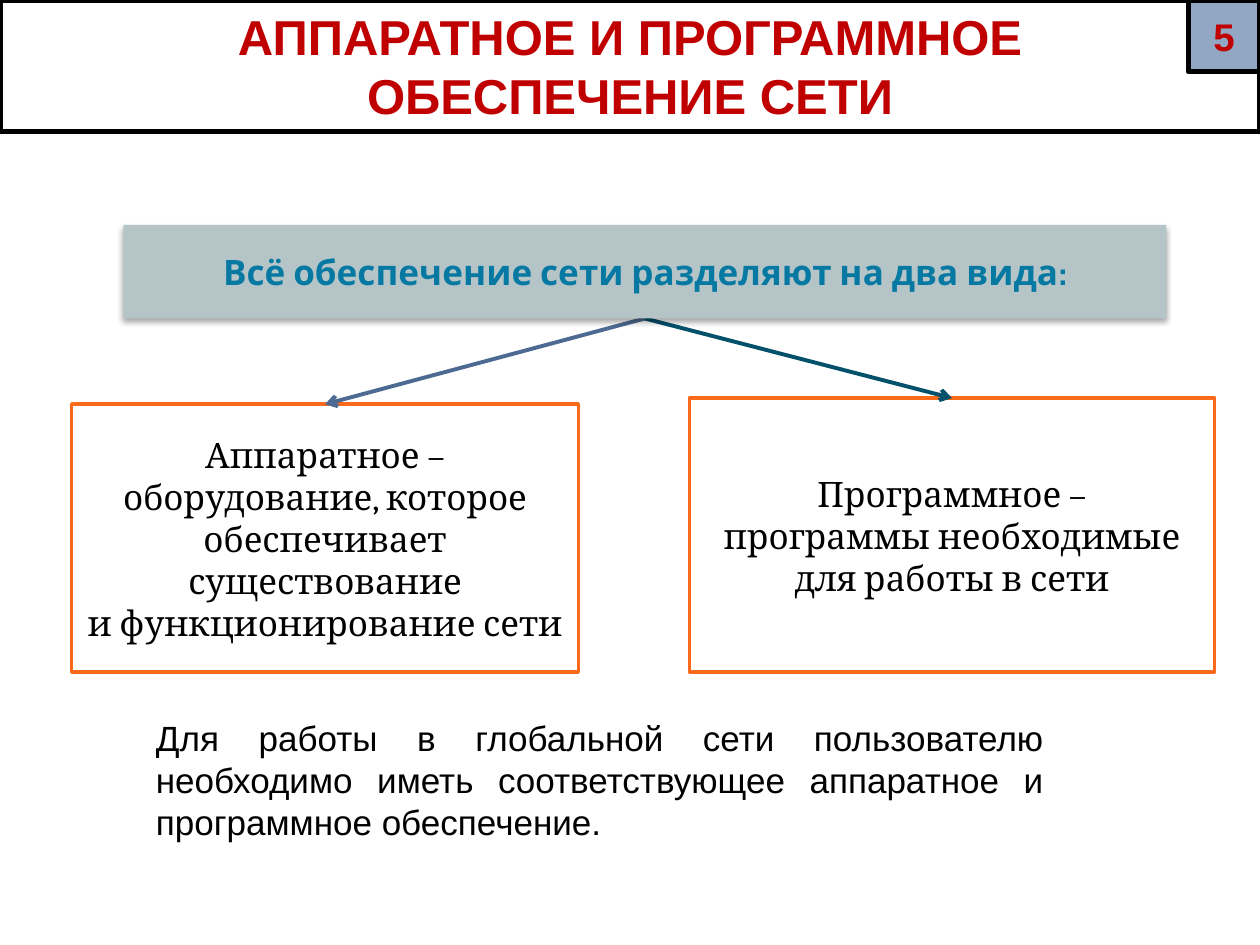
from lxml.etree import SubElement
from pptx import Presentation
from pptx.dml.color import RGBColor
from pptx.enum.shapes import MSO_CONNECTOR as CONNECTOR, MSO_SHAPE as SHAPE
from pptx.enum.text import MSO_ANCHOR as ANCHOR, MSO_AUTO_SIZE as AUTO_SIZE, PP_ALIGN as ALIGN
from pptx.oxml.ns import qn
from pptx.util import Pt

TITLE = ["АППАРАТНОЕ И ПРОГРАММНОЕ", "ОБЕСПЕЧЕНИЕ СЕТИ"]
SLIDE_NUMBER = "5"
BANNER = "Всё обеспечение сети разделяют на два вида:"
BRANCHES = [
    {"lines": ["Аппаратное –", "оборудование, которое обеспечивает существование",
               "и функционирование сети"],
     "box": (41, 231, 289.5, 153), "arrow": "4D6B92"},
    {"lines": ["Программное –", "программы необходимые для работы в сети"],
     "box": (394, 227.5, 300, 156.5), "arrow": "04516C"},
]
CONCLUSION = ("Для работы в глобальной сети пользователю необходимо иметь "
              "соответствующее аппаратное и программное обеспечение.")

WIDTH, HEIGHT = 720, 540
TITLE_BOX = (0, 0, WIDTH, 75)
BADGE_SIZE = 41
BADGE_BOX = (WIDTH - BADGE_SIZE, 0, BADGE_SIZE, BADGE_SIZE)
BANNER_BOX = (70.5, 128.5, 596, 53.5)
CONCLUSION_BOX = (82, 406, 521.5, 80)


def color(value):
    return RGBColor.from_string(value)


def write(shape, lines, font="Arial", size=20, ink="000000", bold=False,
          align=ALIGN.CENTER, anchor=ANCHOR.MIDDLE, inset=None):
    frame = shape.text_frame
    frame.word_wrap = True
    frame.auto_size = AUTO_SIZE.NONE
    frame.vertical_anchor = anchor
    if inset is not None:
        frame.margin_left = frame.margin_right = Pt(inset)
        frame.margin_top = frame.margin_bottom = Pt(inset)
    frame.text = "\n".join(lines)
    for paragraph in frame.paragraphs:
        paragraph.alignment = align
        paragraph.font.name = font
        paragraph.font.size = Pt(size)
        paragraph.font.bold = bold
        paragraph.font.color.rgb = color(ink)


def set_line(shape, ink, width):
    shape.line.color.rgb = color(ink)
    shape.line.width = Pt(width)


def add_box(slide, box, fill, line=None, width=2):
    shape = slide.shapes.add_shape(SHAPE.RECTANGLE, *map(Pt, box))
    shape.shadow.inherit = False
    shape.fill.solid()
    shape.fill.fore_color.rgb = color(fill)
    if line:
        set_line(shape, line, width)
    else:
        shape.line.fill.background()
    return shape


def add_arrow(slide, start, end, ink):
    arrow = slide.shapes.add_connector(CONNECTOR.STRAIGHT, *map(Pt, start + end))
    set_line(arrow, ink, 2.25)
    SubElement(arrow.line._get_or_add_ln(), qn("a:tailEnd"), type="arrow")
    SubElement(arrow._element.spPr, qn("a:effectLst"))


def add_shadow(shape):
    effects = shape._element.spPr.find(qn("a:effectLst"))
    shadow = SubElement(effects, qn("a:outerShdw"), blurRad=str(Pt(3.1)),
                        dist=str(Pt(1.8)), dir="5400000", rotWithShape="0")
    ink = SubElement(shadow, qn("a:srgbClr"), val="000000")
    SubElement(ink, qn("a:alpha"), val="35000")


def main():
    presentation = Presentation()
    presentation.slide_width, presentation.slide_height = Pt(WIDTH), Pt(HEIGHT)
    slide = presentation.slides.add_slide(presentation.slide_layouts[5])

    title = slide.shapes.title
    title.left, title.top, title.width, title.height = map(Pt, TITLE_BOX)
    set_line(title, "000000", 3)
    write(title, TITLE, size=28, ink="C00000", bold=True)

    for branch in BRANCHES:
        box = add_box(slide, branch["box"], "FFFFFF", "F96A1B")
        write(box, branch["lines"], font="Cambria", inset=3)

    left, top, width, height = BANNER_BOX
    start = (left + width / 2, top + height)
    for branch in BRANCHES:
        left, top, width, height = branch["box"]
        add_arrow(slide, start, (left + width / 2, top), branch["arrow"])

    banner = add_box(slide, BANNER_BOX, "B5C4C7")
    add_shadow(banner)
    write(banner, [BANNER], font="Cabin", ink="0679A3", bold=True, inset=3)

    conclusion = slide.shapes.add_textbox(*map(Pt, CONCLUSION_BOX))
    write(conclusion, [CONCLUSION], align=ALIGN.JUSTIFY, anchor=ANCHOR.TOP)

    badge = add_box(slide, BADGE_BOX, "91A7C4", "000000", 3)
    write(badge, [SLIDE_NUMBER], size=22, ink="C00000", bold=True)

    presentation.save("out.pptx")


if __name__ == "__main__":
    main()
